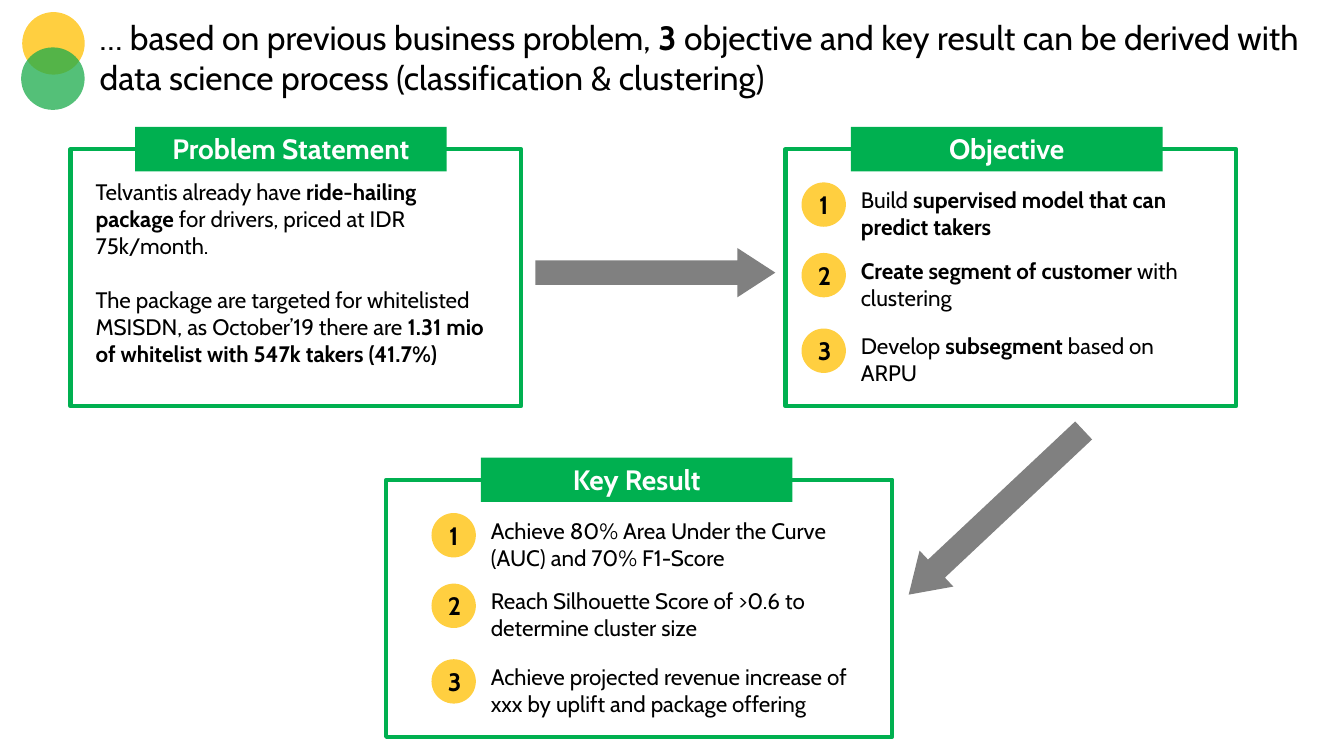
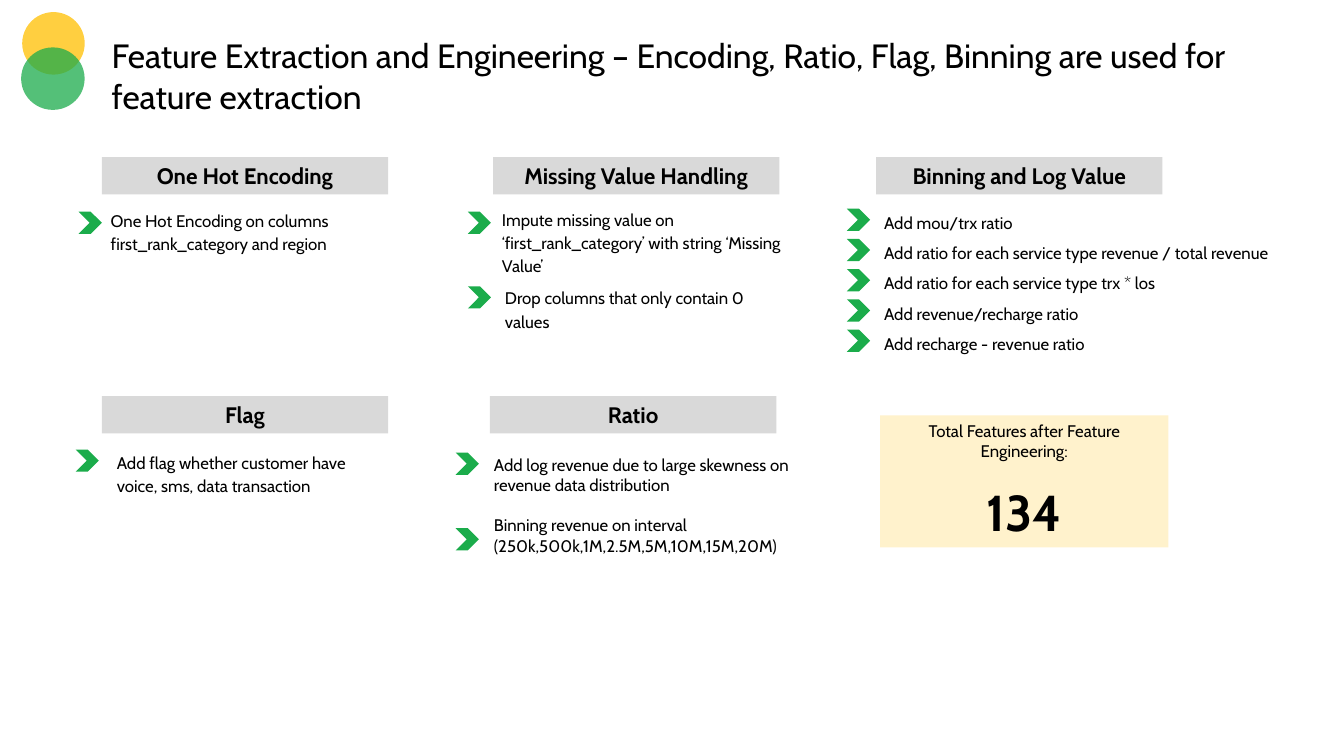
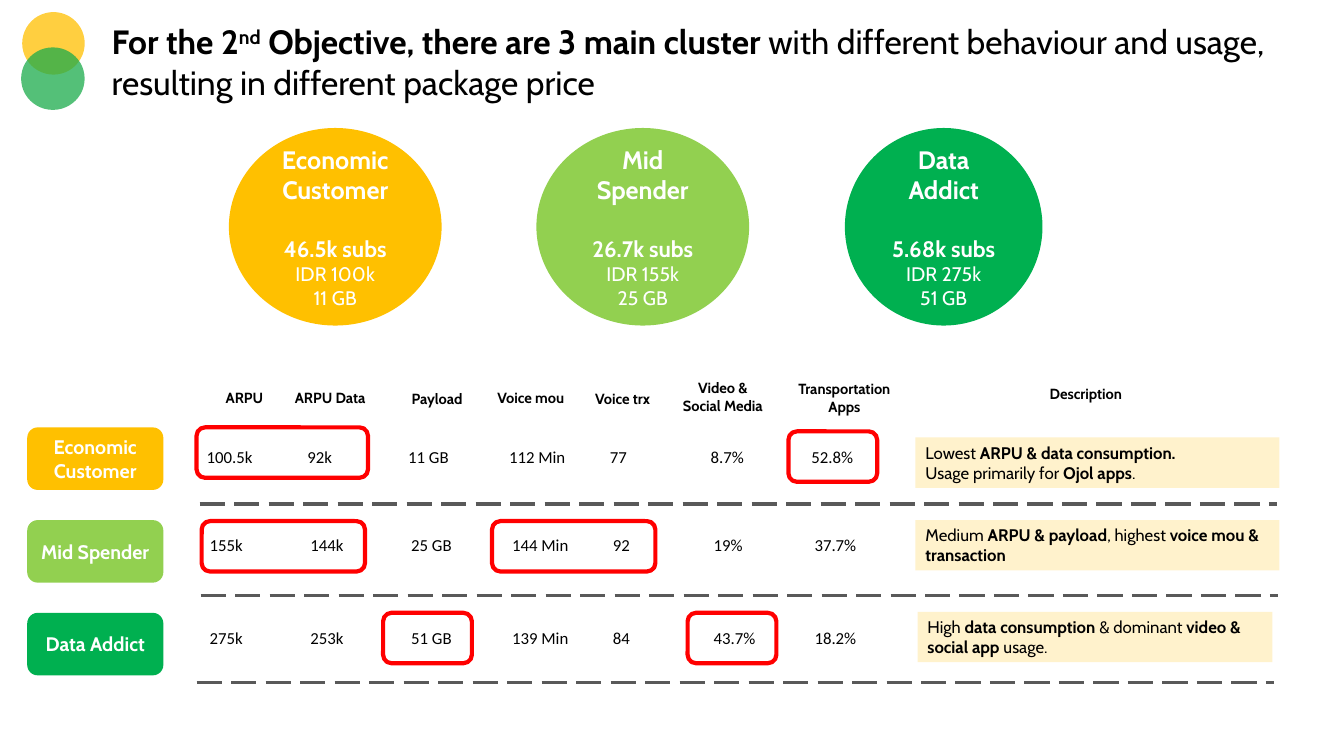
import pptx
import pptx.util
import pptx.dml.color
import pptx.enum.dml
import pptx.enum.shapes
import pptx.enum.text
import pptx.oxml.ns
import lxml.etree
from pptx.util import Inches

SHAPE = pptx.enum.shapes.MSO_SHAPE
ALIGN = pptx.enum.text.PP_ALIGN
ANCHOR = pptx.enum.text.MSO_ANCHOR
rgb = pptx.dml.color.RGBColor.from_string
qn = pptx.oxml.ns.qn

BLACK, WHITE, GRAY, DASH_GRAY = "000000", "FFFFFF", "808080", "595959"
GREEN, LOGO_GREEN, LIME = "00B050", "1BAC4B", "92D050"
AMBER, CREAM, SILVER, RED = "FFC000", "FFF2CC", "D9D9D9", "FF0000"


def add_box(page, kind, place, fill=None, line=None, alpha=None):
    """Add a preset shape, or a text box when kind is None; alpha is in percent."""
    place = [Inches(length) for length in place]
    if kind is None:
        return page.shapes.add_textbox(*place)
    box = page.shapes.add_shape(kind, *place)
    box.shadow.inherit = False
    if fill:
        box.fill.solid()
        box.fill.fore_color.rgb = rgb(fill)
    else:
        box.fill.background()
    if line:
        box.line.color.rgb = rgb(line)
        box.line.width = pptx.util.Pt(3)
    else:
        box.line.fill.background()
    if alpha:
        color = box._element.spPr.find(qn("a:solidFill")).find(qn("a:srgbClr"))
        lxml.etree.SubElement(color, qn("a:alpha"), val=str(alpha * 1000))
    return box


def write(box, lines, size, color=BLACK, bold=False, align=ALIGN.LEFT,
          anchor=ANCHOR.TOP, font="Cabin", spacing=None, indent=0):
    """Write one paragraph a line; text between bars is bold."""
    frame = box.text_frame
    frame.word_wrap = True
    frame.vertical_anchor = anchor
    for index, line in enumerate(lines):
        para = frame.add_paragraph() if index else frame.paragraphs[0]
        para.alignment = align
        para.font.name = font
        para.font.size = pptx.util.Pt(size)
        para.font.color.rgb = rgb(color)
        para.font.bold = bold
        if spacing:
            para.line_spacing = spacing
        if indent:
            para._p.get_or_add_pPr().set("marL", str(Inches(indent)))
        for part, text in enumerate(line.split("|")):
            if text:
                span = para.add_run()
                span.text = text
                if "|" in line:
                    span.font.bold = part % 2 == 1
    return frame.paragraphs


deck = pptx.Presentation()
deck.slide_width, deck.slide_height = Inches(13.33), Inches(7.5)

# Shared frame: title and two overlapping circles
titles = [
    (0.89, 0.12, 12.32, "… based on previous business problem, |3 |objective and key result "
     "can be derived with data science process (classification & clustering)"),
    (1.01, 0.3, 11.32, "Feature Extraction and Engineering – Encoding, Ratio, Flag, Binning "
     "are used for feature extraction"),
    (1.01, 0.16, 12.32, "|For the 2||nd|| Objective, there are 3 main cluster |with different "
     "behaviour and usage, resulting in different package price"),
]
pages = []
for left, top, width, title in titles:
    page = deck.slides.add_slide(deck.slide_layouts[6])
    heading = write(add_box(page, None, (left, top, width, 0.91)), [title], 24)
    add_box(page, SHAPE.OVAL, (0.22, 0.12, 0.62, 0.62), AMBER, alpha=75)
    add_box(page, SHAPE.OVAL, (0.21, 0.47, 0.63, 0.62), LOGO_GREEN, alpha=75)
    pages.append(page)
heading[0].runs[1]._r.get_or_add_rPr().set("baseline", "30000")
goals_page, features_page, clusters_page = pages

# Slide 1: problem, objective, key result
cards = [
    ("Problem Statement", 0.7, 1.48, 4.47, 1.34, 0, []),
    ("Objective", 7.79, 1.48, 4.47, 8.44, 3.67, [
        "Build |supervised model that can predict takers|",
        "|Create segment of customer |with clustering",
        "Develop |subsegment |based on ARPU"]),
    ("Key Result", 3.83, 4.76, 5.02, 4.77, 3.8, [
        "Achieve 80% Area Under the Curve (AUC) and 70% F1-Score",
        "Reach Silhouette Score of >0.6 to determine cluster size",
        "Achieve projected revenue increase of xxx by uplift and package offering"]),
]
for name, left, top, width, tab_left, item_width, items in cards:
    add_box(goals_page, SHAPE.RECTANGLE, (left, top, width, 2.55), line=GREEN)
    tab = add_box(goals_page, SHAPE.RECTANGLE, (tab_left, top - 0.22, 3.09, 0.44), GREEN)
    write(tab, [name], 20, WHITE, True, ALIGN.CENTER)
    for number, (offset, item) in enumerate(zip((0.33, 1.03, 1.78), items), 1):
        badge = add_box(goals_page, SHAPE.OVAL,
                        (tab_left - 0.49, top + offset, 0.44, 0.44), AMBER, alpha=75)
        write(badge, [str(number)], 18, BLACK, True, ALIGN.CENTER, ANCHOR.MIDDLE)
        item_box = add_box(goals_page, None, (tab_left, top + offset - 0.01, item_width, 0.64))
        write(item_box, [item], 16)

problem = write(add_box(goals_page, None, (0.85, 1.72, 4.16, 2.26)), [
    "Telvantis already have |ride-hailing package| for drivers, priced at IDR 75k/month.",
    "The package are targeted for whitelisted MSISDN, as October’19 there are "
    "|1.31 mio of whitelist with 547k takers (41.7%)|"], 16)
problem[1].space_before = pptx.util.Pt(19.4)

for left, top, angle in [(5.31, 2.46, 0), (8.69, 4.84, 136.8)]:
    arrow = add_box(goals_page, SHAPE.RIGHT_ARROW, (left, top, 2.38, 0.49), GRAY)
    arrow.adjustments[1] = 0.77
    arrow.rotation = angle

# Slide 2: feature groups
groups = [
    ("One Hot Encoding", 1.01, 1.56), ("Missing Value Handling", 4.89, 1.56),
    ("Binning and Log Value", 8.69, 1.56), ("Flag", 1.01, 3.93), ("Ratio", 4.86, 3.93),
]
for name, left, top in groups:
    header = add_box(features_page, SHAPE.RECTANGLE, (left, top, 2.84, 0.37), SILVER)
    write(header, [name], 16, BLACK, True, ALIGN.CENTER)

notes = [
    (0.84, 2.01, 3.3, 0.55, 1.15, ["One Hot Encoding on columns first_rank_category and region"]),
    (4.72, 2, 3.25, 0.79, 1.15,
     ["Impute missing value on ‘first_rank_category’ with string ‘Missing Value’"]),
    (4.75, 2.78, 2.99, 0.55, 1.15, ["Drop columns that only contain 0 values"]),
    (0.9, 4.41, 2.99, 0.55, 1.15, ["Add flag whether customer have voice, sms, data transaction"]),
    (8.51, 1.96, 4.95, 1.36, 1.5, [
        "Add mou/trx ratio",
        "Add ratio for each service type revenue / total revenue",
        "Add ratio for each service type trx * los",
        "Add revenue/recharge ratio",
        "Add recharge - revenue ratio"]),
    (4.64, 4.46, 3.34, 1.11, 1, [
        "Add log revenue due to large skewness on revenue data distribution",
        "Binning revenue on interval (250k,500k,1M,2.5M,5M,10M,15M,20M)"]),
]
for left, top, width, height, spacing, lines in notes:
    note = write(add_box(features_page, None, (left, top, width, height)), lines, 12,
                 spacing=spacing, indent=0.16)
note[1].space_before = pptx.util.Pt(14.5)

chevrons = [(0.78, 2.1), (4.64, 2.1), (4.64, 2.84), (0.75, 4.46), (4.52, 4.49), (4.52, 5.24)]
chevrons += [(8.4, 2.07 + 0.3 * row) for row in range(5)]
for left, top in chevrons:
    add_box(features_page, SHAPE.CHEVRON, (left, top, 0.23, 0.22), LOGO_GREEN)

total_box = add_box(features_page, SHAPE.RECTANGLE, (8.73, 4.12, 2.86, 1.31), CREAM)
total = write(total_box, ["Total Features after Feature Engineering:", "134"], 12,
              align=ALIGN.CENTER)
total[1].font.size = pptx.util.Pt(36)
total[1].font.bold = True
total[1].space_before = pptx.util.Pt(14.5)

# Slide 3: clusters
clusters = [
    ("Economic Customer", AMBER, 2.27, 2.11, ["46.5k subs", "IDR 100k", "11 GB"]),
    ("Mid Spender", LIME, 5.32, 2.11, ["26.7k subs", "IDR 155k", "25 GB"]),
    ("Data Addict", GREEN, 8.38, 1.96, ["5.68k subs", "IDR 275k", "51 GB"]),
]
for row, (name, color, left, width, facts) in enumerate(clusters):
    circle = add_box(clusters_page, SHAPE.OVAL, (left, 1.27, width, 1.96), color)
    paras = write(circle, [name] + facts, 14, WHITE, False, ALIGN.CENTER, ANCHOR.MIDDLE)
    for para, size in zip(paras, (18, 16)):
        para.font.size = pptx.util.Pt(size)
        para.font.bold = True
    paras[1].space_before = pptx.util.Pt(21.8)
    label = add_box(clusters_page, SHAPE.ROUNDED_RECTANGLE,
                    (0.27, 4.24 + 0.92 * row, 1.35, 0.62), color)
    write(label, [name], 14, WHITE, True, ALIGN.CENTER, ANCHOR.MIDDLE)

columns = [
    (2, 3.81, 0.85, ["ARPU"]), (2.79, 3.81, 0.97, ["ARPU Data"]),
    (3.91, 3.82, 0.85, ["Payload"]), (4.38, 3.81, 1.77, ["Voice mou"]),
    (5.69, 3.82, 0.97, ["Voice trx"]), (6.59, 3.71, 1.16, ["Video &", "Social Media"]),
    (7.68, 3.72, 1.39, ["Transportation Apps"]), (9.25, 3.77, 3.04, ["Description"]),
]
for left, top, width, lines in columns:
    write(add_box(clusters_page, None, (left, top, width, 0.28)), lines, 10.5,
          BLACK, True, ALIGN.CENTER)

# Values stand on tab stops one inch apart
rows = [
    (1.95, 4.38, ["100.5k", "92k", "11 GB", "112 Min", "77", "8.7%", "52.8%"]),
    (1.98, 5.26, ["155k", "144k", "25 GB", "144 Min", "92", "19%", "37.7%"]),
    (1.98, 6.18, ["275k", "253k", "51 GB", "139 Min", "84", "43.7%", "18.2%"]),
]
for left, top, values in rows:
    value_box = add_box(clusters_page, None, (left, top, 6.75, 0.3))
    value_line = write(value_box, ["\t".join(values)], 12, font="Calibri")[0]
    tab_list = lxml.etree.Element(qn("a:tabLst"))
    for stop in range(1, len(values)):
        lxml.etree.SubElement(tab_list, qn("a:tab"), pos=str(Inches(stop)), algn="l")
    value_line._p.get_or_add_pPr().find(qn("a:defRPr")).addprevious(tab_list)

for left, y in [(1.98, 5), (1.99, 5.91), (1.95, 6.77)]:
    divider = clusters_page.shapes.add_connector(
        pptx.enum.shapes.MSO_CONNECTOR.STRAIGHT,
        Inches(left), Inches(y), Inches(left + 10.69), Inches(y))
    divider.line.color.rgb = rgb(DASH_GRAY)
    divider.line.width = pptx.util.Pt(2.25)
    divider.line.dash_style = pptx.enum.dml.MSO_LINE.LONG_DASH
    lxml.etree.SubElement(divider._element.spPr, qn("a:effectLst"))

descriptions = [
    (9.08, 4.34, 3.61, ["Lowest |ARPU & data consumption.|", "Usage primarily for |Ojol apps|."]),
    (9.08, 5.16, 3.61, ["Medium |ARPU & payload|, highest |voice mou & transaction|"]),
    (9.1, 6.07, 3.52, ["High |data consumption| & dominant |video & social app| usage."]),
]
for left, top, width, lines in descriptions:
    write(add_box(clusters_page, SHAPE.RECTANGLE, (left, top, width, 0.5), CREAM), lines, 12)

highlights = [
    (1.95, 4.24, 1.7), (7.82, 4.28, 0.88), (2, 5.17, 1.62),
    (4.88, 5.17, 1.62), (3.8, 6.08, 0.88), (6.82, 6.08, 0.88),
]
for left, top, width in highlights:
    add_box(clusters_page, SHAPE.ROUNDED_RECTANGLE, (left, top, width, 0.5), line=RED)

deck.save("out.pptx")
